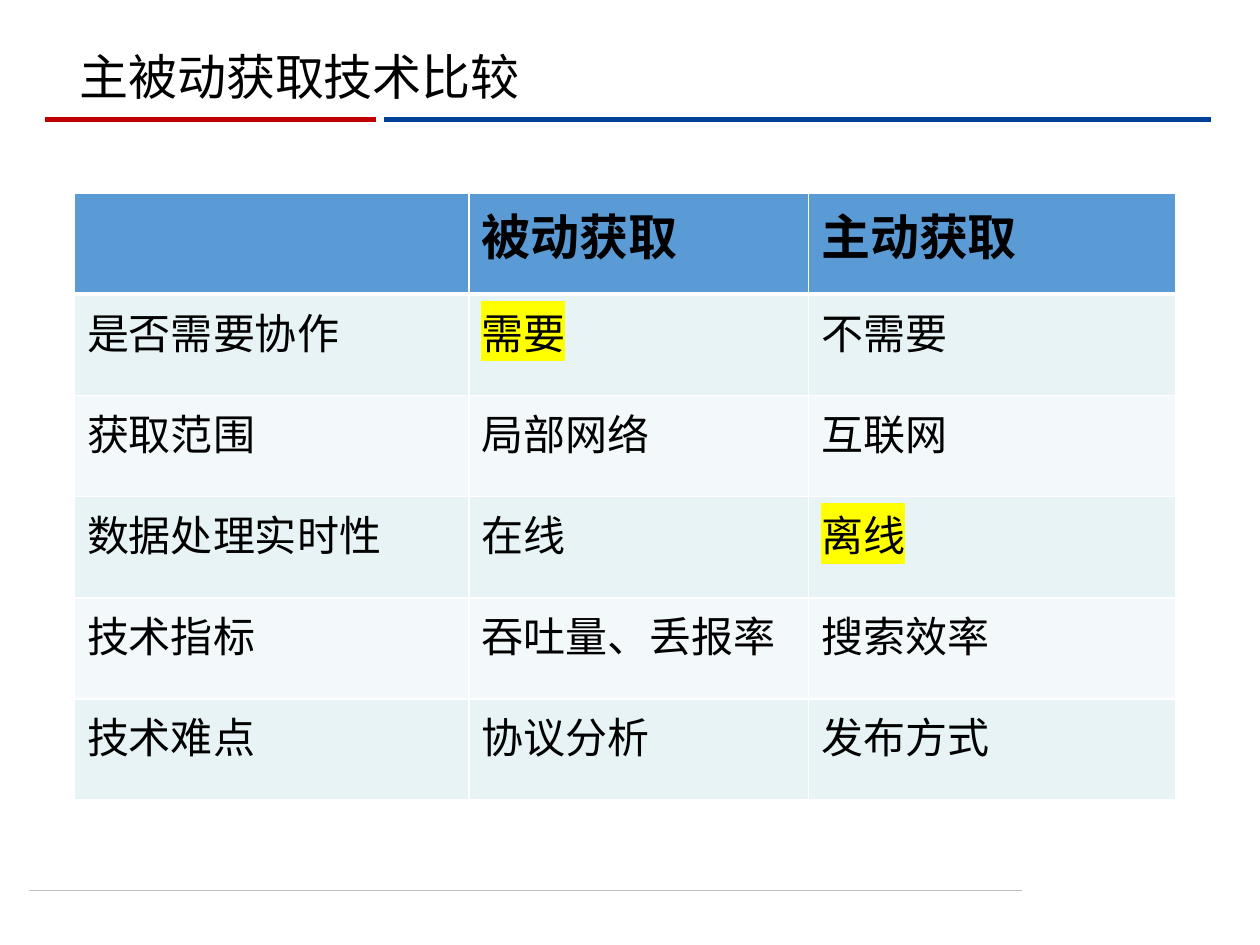
from dataclasses import dataclass

from lxml import etree
from pptx import Presentation
from pptx import util as u
from pptx.dml.color import RGBColor
from pptx.enum import shapes, text
from pptx.oxml.ns import qn


@dataclass(frozen=True)
class Theme:
    font: str = "Arial"
    ink: str = "000000"
    red: str = "C00000"
    blue: str = "004299"
    grey: str = "BFBFBF"
    header: str = "5B9BD5"
    bands: tuple = ("E7F3F4", "F3F9FA")
    grid: str = "FFFFFF"
    marker: str = "FFFF00"
    heading_size: int = 28
    body_size: int = 24


class SlideBuilder:
    def __init__(self, slide, theme):
        self.slide = slide
        self.theme = theme

    def rule(self, left, right, y, color, weight):
        line = self.slide.shapes.add_connector(
            shapes.MSO_CONNECTOR.STRAIGHT, u.Cm(left), u.Cm(y), u.Cm(right), u.Cm(y))
        line.line.color.rgb = RGBColor.from_string(color)
        line.line.width = u.Pt(weight)
        etree.SubElement(line._element.spPr, qn("a:effectLst"))

    def run(self, paragraph, words, size, bold=False, marked=False):
        run = paragraph.add_run()
        run.text = words
        run.font.size = u.Pt(size)
        run.font.bold = bold
        run.font.color.rgb = RGBColor.from_string(self.theme.ink)
        if marked:
            highlight = etree.SubElement(run._r.get_or_add_rPr(), qn("a:highlight"))
            etree.SubElement(highlight, qn("a:srgbClr"), val=self.theme.marker)
        run.font.name = self.theme.font

    def title(self, words, left, top, width, height):
        box = self.slide.shapes.add_textbox(*map(u.Cm, (left, top, width, height)))
        frame = box.text_frame
        frame.word_wrap = True
        frame.auto_size = text.MSO_AUTO_SIZE.SHAPE_TO_FIT_TEXT
        self.run(frame.paragraphs[0], words, self.theme.heading_size)

    def borders(self, cell, weights):
        """Draw the cell's sides; weights maps L, R, T, B to points."""
        properties = cell._tc.get_or_add_tcPr()
        for index, (side, weight) in enumerate(weights.items()):
            line = etree.Element(qn(f"a:ln{side}"), w=str(u.Pt(weight)))
            fill = etree.SubElement(line, qn("a:solidFill"))
            etree.SubElement(fill, qn("a:srgbClr"), val=self.theme.grid)
            properties.insert(index, line)

    def table(self, rows, marked, left, top, widths, row_height):
        theme = self.theme
        table = self.slide.shapes.add_table(
            len(rows), len(widths), u.Cm(left), u.Cm(top),
            u.Cm(sum(widths)), u.Cm(row_height * len(rows))).table
        for column, width in zip(table.columns, widths):
            column.width = u.Cm(width)
        for r, row in enumerate(rows):
            is_header = r == 0
            fill = theme.header if is_header else theme.bands[(r - 1) % 2]
            size = theme.heading_size if is_header else theme.body_size
            weights = {"L": 1, "R": 1, "T": 3 if r == 1 else 1, "B": 3 if is_header else 1}
            for c, words in enumerate(row):
                cell = table.cell(r, c)
                cell.fill.solid()
                cell.fill.fore_color.rgb = RGBColor.from_string(fill)
                self.borders(cell, weights)
                if words:
                    self.run(cell.text_frame.paragraphs[0], words, size,
                             bold=is_header, marked=words in marked)


COMPARISON = [
    ("", "被动获取", "主动获取"),
    ("是否需要协作", "需要", "不需要"),
    ("获取范围", "局部网络", "互联网"),
    ("数据处理实时性", "在线", "离线"),
    ("技术指标", "吞吐量、丢报率", "搜索效率"),
    ("技术难点", "协议分析", "发布方式"),
]


def main():
    deck = Presentation()
    deck.slide_width, deck.slide_height = u.Cm(25.4), u.Cm(19.05)
    theme = Theme()
    builder = SlideBuilder(deck.slides.add_slide(deck.slide_layouts[6]), theme)

    builder.rule(0.58, 20.6, 17.96, theme.grey, 0.5)
    builder.rule(7.75, 24.41, 2.41, theme.blue, 3)
    builder.rule(0.91, 7.57, 2.41, theme.red, 3)
    builder.title("主被动获取技术比较", 1.35, 0.81, 18, 1.45)
    builder.table(COMPARISON, {"需要", "离线"}, left=1.5, top=3.89,
                  widths=(7.95, 6.85, 7.4), row_height=2.04)
    deck.save("out.pptx")


if __name__ == "__main__":
    main()
